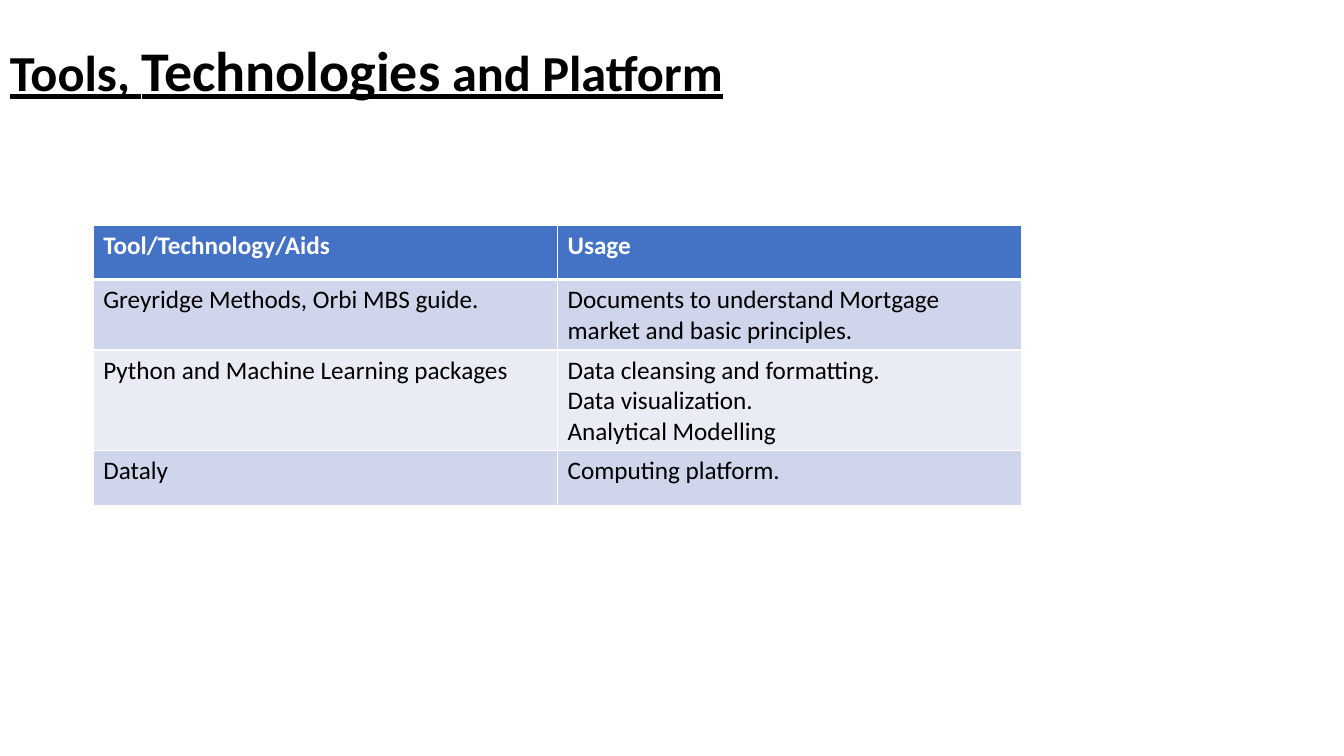
from dataclasses import dataclass

from lxml.etree import SubElement
from pptx import Presentation
from pptx.dml.color import RGBColor
from pptx.enum.text import MSO_ANCHOR
from pptx.oxml.ns import qn
from pptx.util import Cm, Pt


@dataclass(frozen=True)
class Theme:
    """Colours, font and type sizes of the slide."""
    font: str = "Calibri"
    text: str = "000000"
    white: str = "FFFFFF"
    header: str = "4472C4"
    bands: tuple = ("CFD5EA", "E9EBF5")
    title_size: int = 36
    emphasis_size: int = 40
    table_size: int = 18
    rule: int = 1
    header_rule: int = 3


THEME = Theme()

TITLE = (
    ("Tools, ", THEME.title_size),
    ("Technologies", THEME.emphasis_size),
    (" and Platform", THEME.title_size),
)

TOOLS = (
    (["Tool/Technology/Aids"], ["Usage"]),
    (["Greyridge Methods, Orbi MBS guide."],
     ["Documents to understand Mortgage market and basic principles."]),
    (["Python and Machine Learning packages"],
     ["Data cleansing and formatting.", "Data visualization.", "Analytical Modelling"]),
    (["Dataly"], ["Computing platform."]),
)


def add_run(paragraph, text, size, color, bold=False, underline=False):
    """Append one formatted run to a paragraph."""
    run = paragraph.add_run()
    run.text = text
    font = run.font
    font.name = THEME.font
    font.size = Pt(size)
    font.bold = bold
    font.underline = underline
    font.color.rgb = RGBColor.from_string(color)


def add_title(slide):
    """Add the underlined title with its emphasised word."""
    frame = slide.shapes.add_textbox(Cm(0), Cm(0), Cm(29.21), Cm(3.68)).text_frame
    frame.word_wrap = True
    frame.vertical_anchor = MSO_ANCHOR.MIDDLE
    paragraph = frame.paragraphs[0]
    paragraph.line_spacing = 0.9
    for text, size in TITLE:
        add_run(paragraph, text, size, THEME.text, bold=True, underline=True)


def set_borders(cell, top, bottom):
    """Draw white borders of the given top and bottom widths around a cell."""
    properties = cell._tc.get_or_add_tcPr()
    widths = {"lnL": THEME.rule, "lnR": THEME.rule, "lnT": top, "lnB": bottom}
    for side, width in widths.items():
        line = SubElement(properties, qn(f"a:{side}"), w=str(Pt(width)))
        fill = SubElement(line, qn("a:solidFill"))
        SubElement(fill, qn("a:srgbClr"), val=THEME.white)


def fill_cell(cell, lines, row):
    """Write and style one table cell according to its row."""
    is_header = row == 0
    set_borders(
        cell,
        top=THEME.header_rule if row == 1 else THEME.rule,
        bottom=THEME.header_rule if is_header else THEME.rule,
    )
    background = THEME.header if is_header else THEME.bands[(row - 1) % 2]
    cell.fill.solid()
    cell.fill.fore_color.rgb = RGBColor.from_string(background)
    frame = cell.text_frame
    for index, text in enumerate(lines):
        paragraph = frame.add_paragraph() if index else frame.paragraphs[0]
        color = THEME.white if is_header else THEME.text
        add_run(paragraph, text, THEME.table_size, color, bold=is_header)


def add_tools_table(slide):
    """Add the table of tools and their usage."""
    row_height = Cm(1.37)
    table = slide.shapes.add_table(
        len(TOOLS), len(TOOLS[0]), Cm(2.35), Cm(5.67), Cm(23.4), row_height * len(TOOLS)
    ).table
    for row, cells in enumerate(TOOLS):
        table.rows[row].height = row_height
        for column, lines in enumerate(cells):
            fill_cell(table.cell(row, column), lines, row)


def main():
    """Build and save the presentation."""
    presentation = Presentation()
    presentation.slide_width = Cm(33.87)
    presentation.slide_height = Cm(19.05)
    slide = presentation.slides.add_slide(presentation.slide_layouts[6])
    add_title(slide)
    add_tools_table(slide)
    presentation.save("out.pptx")


if __name__ == "__main__":
    main()
